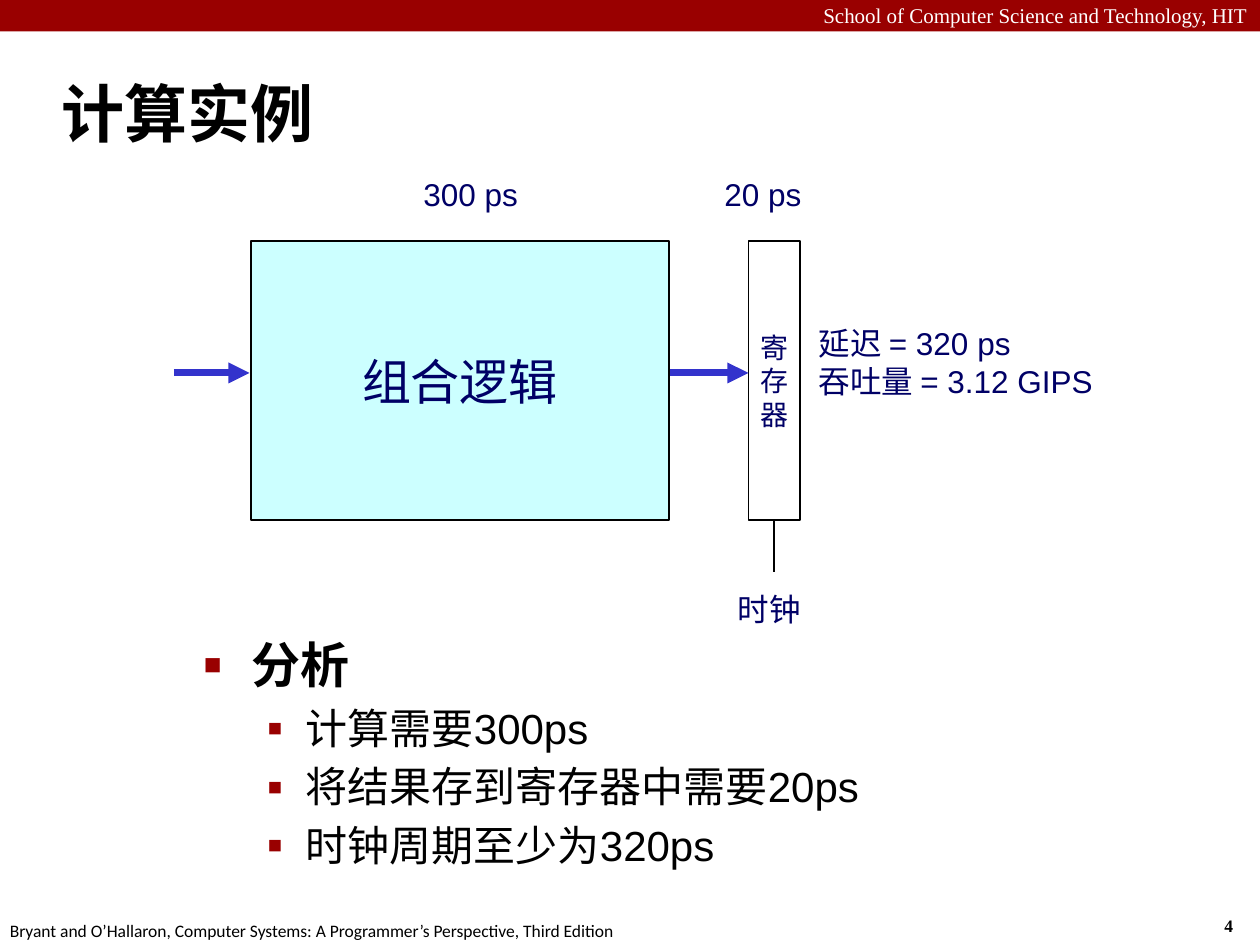
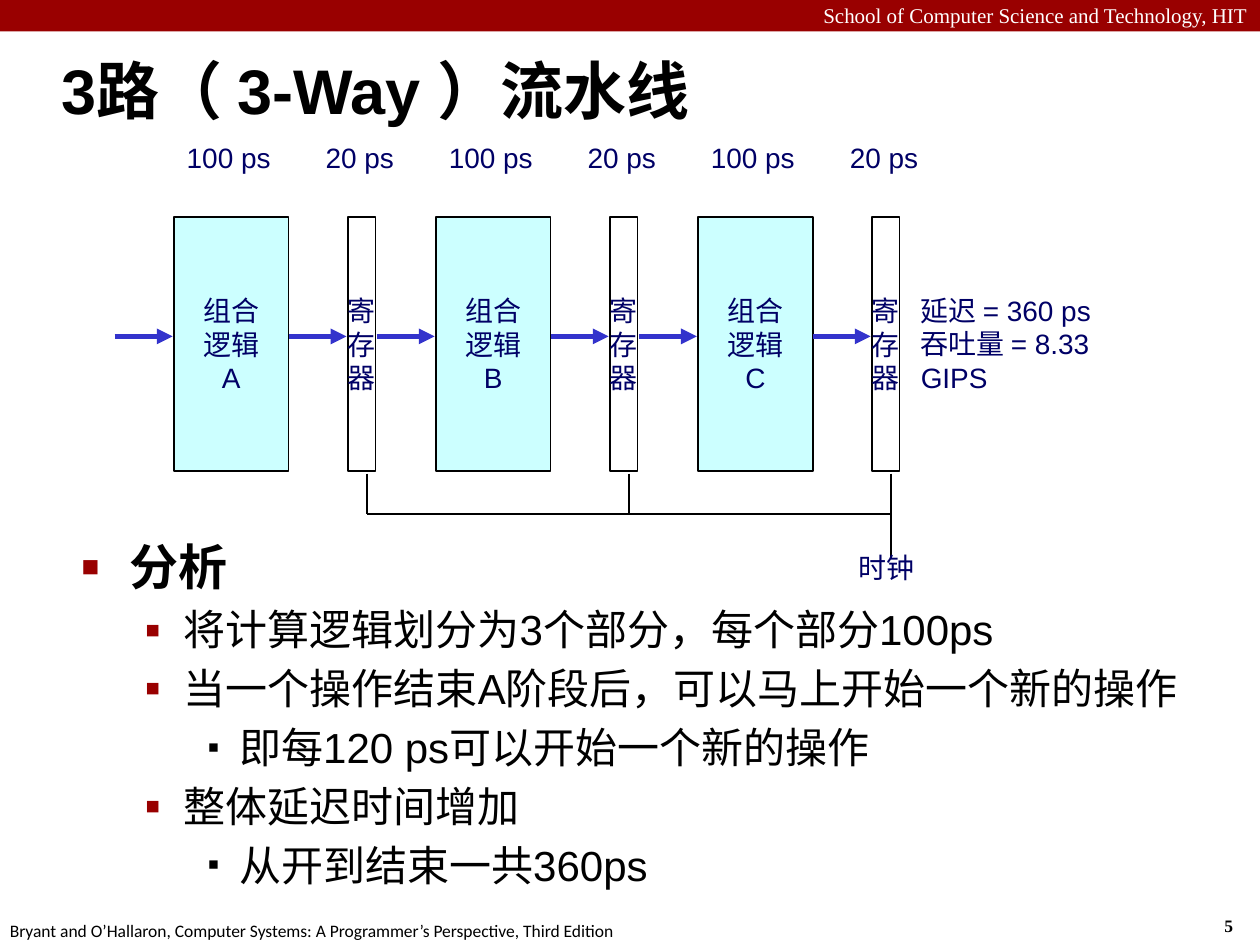
from dataclasses import dataclass

import pptx
import pptx.dml.color
import pptx.enum.shapes
import pptx.enum.text
import pptx.oxml.ns
import pptx.util
from lxml import etree
from pptx.util import Inches

RED, BLACK, WHITE = "990000", "000000", "FFFFFF"
NAVY, BLUE, CYAN = "000066", "3333CC", "CCFFFF"
LEFT = pptx.enum.text.PP_ALIGN.LEFT
MID = pptx.enum.text.PP_ALIGN.CENTER
RIGHT = pptx.enum.text.PP_ALIGN.RIGHT
TITLE_ONLY = 5
REG = "寄\n存\n器"


@dataclass(frozen=True)
class Box:
    """Place of a part, in inches."""
    x: float
    y: float
    w: float
    h: float

    def emu(self) -> tuple:
        return tuple(Inches(n) for n in (self.x, self.y, self.w, self.h))


@dataclass(frozen=True)
class Style:
    """Look of a paragraph."""
    size: float
    color: str = NAVY
    font: str = "Arial"
    bold: bool = False
    align: int = LEFT


@dataclass(frozen=True)
class Level:
    """Indent and bullet of one outline level, in inches and percent."""
    size: float
    left: float
    hang: float
    mark: str
    scale: int
    color: str


LEVELS = (
    Level(28, 0.38, 0.38, "■", 60, RED),
    Level(24, 0.81, 0.31, "▪", 110, RED),
    Level(24, 1.25, 0.25, "▪", 80, BLACK),
)


def rgb(code: str) -> pptx.dml.color.RGBColor:
    return pptx.dml.color.RGBColor.from_string(code)


def dress(para, style: Style) -> None:
    font = para.font
    font.size, font.bold, font.name = pptx.util.Pt(style.size), style.bold, style.font
    font.color.rgb = rgb(style.color)
    para.alignment = style.align


def write(frame, text: str, style: Style, wrap: bool = True) -> None:
    frame.word_wrap = wrap
    for i, line in enumerate(text.split("\n")):
        para = frame.add_paragraph() if i else frame.paragraphs[0]
        para.add_run().text = line
        dress(para, style)


def indent(para, left: float, hang: float):
    props = para._p.get_or_add_pPr()
    props.set("marL", str(Inches(left)))
    props.set("indent", str(-Inches(hang)))
    return props


def label(slide, box: Box, text: str, style: Style, wrap: bool = True) -> None:
    write(slide.shapes.add_textbox(*box.emu()).text_frame, text, style, wrap)


def block(slide, box: Box, fill: str, edge: str = "", text: str = "", size: float = 16):
    rect = slide.shapes.add_shape(pptx.enum.shapes.MSO_SHAPE.RECTANGLE, *box.emu())
    rect.shadow.inherit = False
    rect.fill.solid()
    rect.fill.fore_color.rgb = rgb(fill)
    if edge:
        rect.line.color.rgb = rgb(edge)
        rect.line.width = pptx.util.Pt(1)
    else:
        rect.line.fill.background()
    if text:
        write(rect.text_frame, text, Style(size, align=MID), wrap=False)
        rect.text_frame.vertical_anchor = pptx.enum.text.MSO_ANCHOR.MIDDLE
    return rect


def line(slide, x1: float, y1: float, x2: float, y2: float,
         color: str = BLACK, width: float = 1, head: bool = False):
    wire = slide.shapes.add_connector(
        pptx.enum.shapes.MSO_CONNECTOR.STRAIGHT, *(Inches(n) for n in (x1, y1, x2, y2)))
    wire.line.color.rgb = rgb(color)
    wire.line.width = pptx.util.Pt(width)
    qn = pptx.oxml.ns.qn
    if head:
        etree.SubElement(wire.line._get_or_add_ln(), qn("a:tailEnd"), type="triangle")
    etree.SubElement(wire._element.spPr, qn("a:effectLst"))
    return wire


def arrow(slide, x1: float, x2: float, y: float, width: float) -> None:
    line(slide, x1, y, x2, y, BLUE, width, head=True)


def outline(slide, box: Box, items: list) -> None:
    frame = slide.shapes.add_textbox(*box.emu()).text_frame
    frame.word_wrap = True
    qn = pptx.oxml.ns.qn
    for i, (depth, text) in enumerate(items):
        level = LEVELS[depth]
        para = frame.add_paragraph() if i else frame.paragraphs[0]
        para.add_run().text = text
        para.level = depth
        para.space_before = pptx.util.Pt(level.size * 0.2)
        props = indent(para, level.left, level.hang)
        tint = etree.SubElement(props, qn("a:buClr"))
        etree.SubElement(tint, qn("a:srgbClr"), val=level.color)
        etree.SubElement(props, qn("a:buSzPct"), val=str(level.scale * 1000))
        etree.SubElement(props, qn("a:buFont"), typeface="Arial")
        etree.SubElement(props, qn("a:buChar"), char=level.mark)
        dress(para, Style(level.size, BLACK, bold=depth == 0))


def start(deck, title: str, box: Box, page: int):
    """Add a slide with its title, top band and footer."""
    slide = deck.slides.add_slide(deck.slide_layouts[TITLE_ONLY])
    block(slide, Box(0, 0, 10, 0.25), RED)
    label(slide, Box(0, -0.03, 10, 0.3), "School of Computer Science and Technology, HIT",
          Style(12, WHITE, "Times New Roman", align=RIGHT))
    label(slide, Box(9.62, 7.21, 0.37, 0.27), str(page),
          Style(10, BLACK, "Times New Roman", bold=True))
    label(slide, Box(-0.02, 7.25, 5.08, 0.27),
          "Bryant and O’Hallaron, Computer Systems: A Programmer’s Perspective, Third Edition",
          Style(10, BLACK, "Calibri"))
    head = slide.shapes.title
    head.left, head.top, head.width, head.height = box.emu()
    frame = head.text_frame
    frame.auto_size = pptx.enum.text.MSO_AUTO_SIZE.NONE
    frame.vertical_anchor = pptx.enum.text.MSO_ANCHOR.MIDDLE
    write(frame, title, Style(36, BLACK, bold=True))
    indent(frame.paragraphs[0], 0.13, 0.13)
    return slide


def single(deck) -> None:
    """One block of logic with one register."""
    slide = start(deck, "计算实例", Box(0.39, 0.48, 9.61, 0.83), 4)
    outline(slide, Box(1.52, 4.99, 6.23, 2.07), [
        (0, "分析"),
        (1, "计算需要300ps"),
        (1, "将结果存到寄存器中需要20ps"),
        (1, "时钟周期至少为320ps"),
    ])
    block(slide, Box(1.99, 1.91, 3.32, 2.22), CYAN, BLACK, "组合逻辑", 28)
    reg = block(slide, Box(5.94, 1.91, 0.41, 2.22), WHITE, BLACK, REG)
    tag = Style(18, align=MID)
    label(slide, Box(3.2, 1.34, 1.07, 0.45), "300 ps", tag, wrap=False)
    label(slide, Box(5.6, 1.34, 0.91, 0.45), "20 ps", tag, wrap=False)
    arrow(slide, 1.38, 1.98, 2.96, 4)
    arrow(slide, 5.32, 5.94, 2.96, 4)
    clock = line(slide, 6.14, 4.13, 6.14, 4.54)
    clock.begin_connect(reg, 2)
    clock.end_x = clock.begin_x
    label(slide, Box(5.71, 4.63, 0.79, 0.45), "时钟", tag, wrap=False)
    label(slide, Box(6.4, 2.52, 2.69, 0.79), "延迟 = 320 ps\n吞吐量 = 3.12 GIPS", Style(18))


def triple(deck) -> None:
    """Three stages, each with its own register."""
    slide = start(deck, "3路（ 3-Way ）流水线", Box(0.39, 0.29, 9.26, 0.83), 5)
    outline(slide, Box(0.55, 4.21, 9.09, 3.12), [
        (0, "分析"),
        (1, "将计算逻辑划分为3个部分，每个部分100ps"),
        (1, "当一个操作结束A阶段后，可以马上开始一个新的操作"),
        (2, "即每120 ps可以开始一个新的操作"),
        (1, "整体延迟时间增加"),
        (2, "从开到结束一共360ps"),
    ])
    tag = Style(16, align=MID)
    step, bus, flow = 2.08, 4.08, 2.67
    for i, name in enumerate("ABC"):
        x = 1.38 + i * step
        drop = x + 1.53
        block(slide, Box(x, 1.72, 0.91, 2.02), CYAN, BLACK, f"组合\n逻辑\n{name}")
        block(slide, Box(x + 1.38, 1.72, 0.22, 2.02), WHITE, BLACK, REG)
        arrow(slide, x - 0.47, x - 0.01, flow, 3)
        arrow(slide, x + 0.91, x + 1.37, flow, 3)
        line(slide, drop, 3.76, drop, 4.44 if name == "C" else bus)
        label(slide, Box(x, 1.07, 0.87, 0.37), "100 ps", tag, wrap=False)
        label(slide, Box(x + 1.1, 1.07, 0.75, 0.37), "20 ps", tag, wrap=False)
    line(slide, 2.91, bus, 2.91 + 2 * step, bus)
    label(slide, Box(6.71, 4.32, 0.65, 0.37), "时钟", tag, wrap=False)
    label(slide, Box(7.21, 2.28, 2.1, 0.64), "延迟 = 360 ps\n吞吐量 = 8.33 GIPS", Style(16))


def main() -> None:
    deck = pptx.Presentation()
    deck.slide_width, deck.slide_height = Inches(10), Inches(7.5)
    single(deck)
    triple(deck)
    deck.save("out.pptx")


if __name__ == "__main__":
    main()
